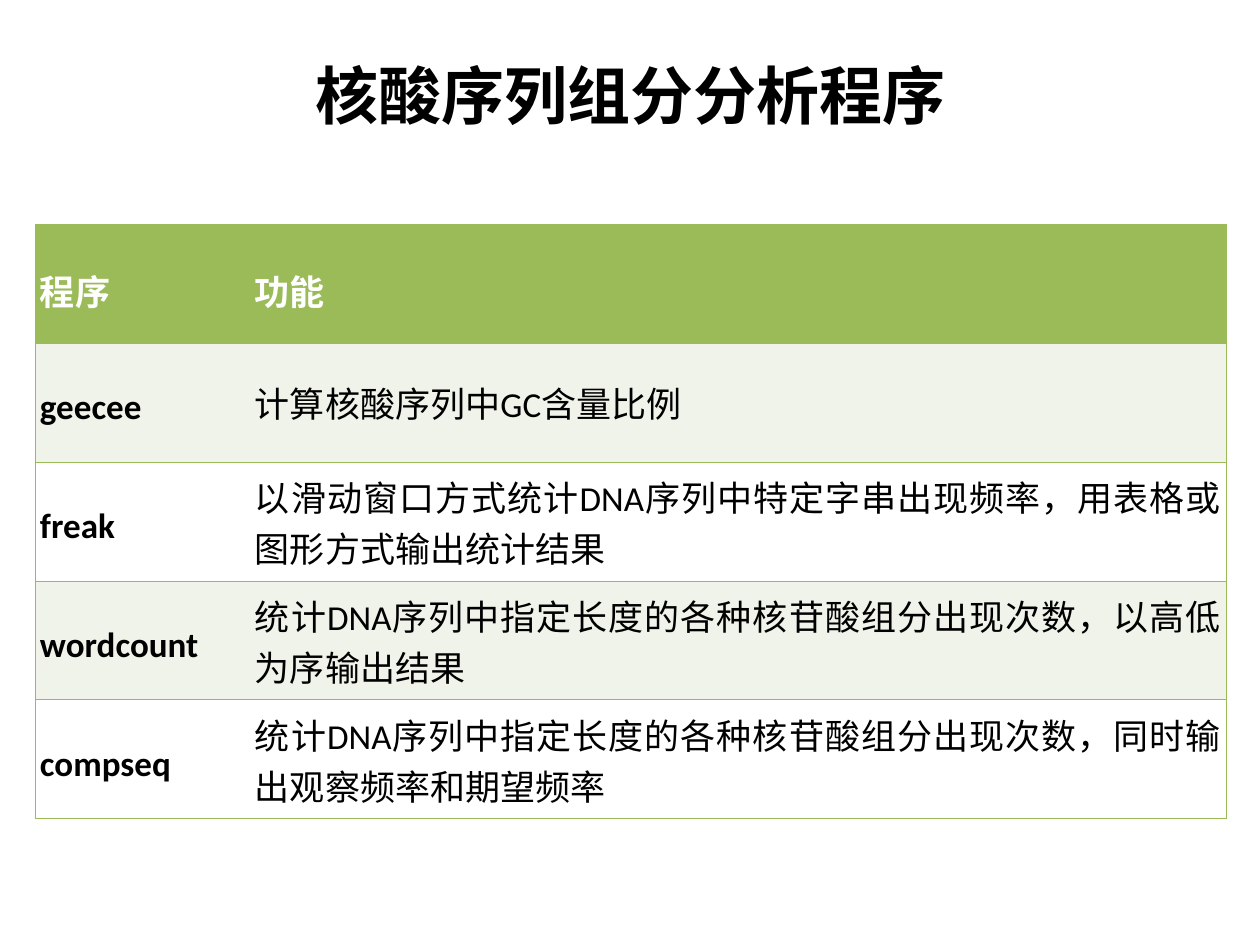
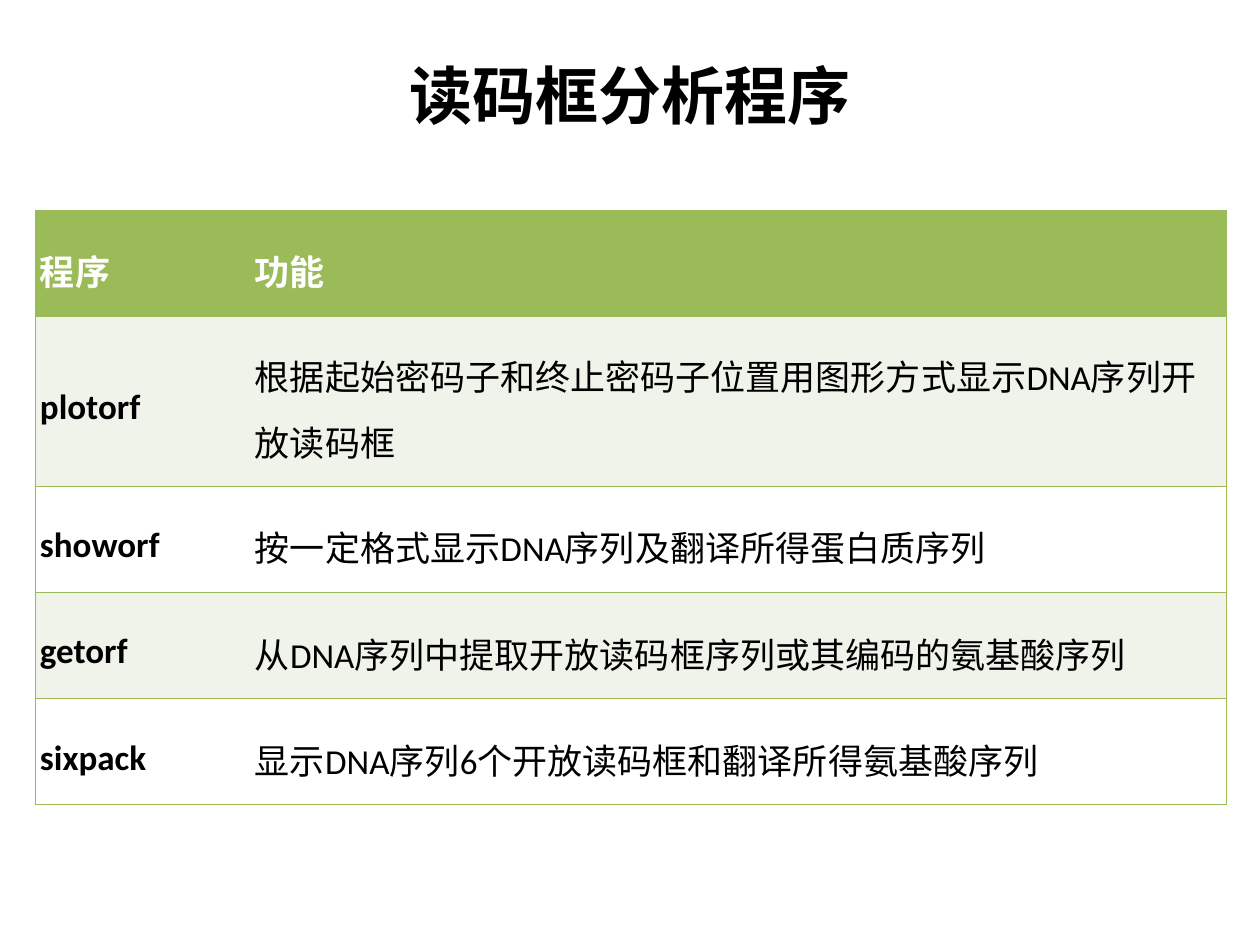
from lxml import etree
from pptx import Presentation
from pptx import util as u
from pptx.dml.color import RGBColor
from pptx.enum import text
from pptx.oxml.ns import qn

PX = 914400 / 126
GREEN = RGBColor(0x9B, 0xBB, 0x59)
PALE = RGBColor(0xEF, 0xF3, 0xEA)
WHITE = RGBColor(0xFF, 0xFF, 0xFF)
BLACK = RGBColor(0, 0, 0)
FONT = "Calibri"
LEFT, WIDTH = 35, 1191
COLUMN_WIDTHS = (215, 976)
HEADINGS = ("程序", "功能")
BORDER_WIDTH = u.Pt(0.45)

COMPOSITION_PROGRAMS = [
    ("geecee", "计算核酸序列中GC含量比例"),
    ("freak", "以滑动窗口方式统计DNA序列中特定字串出现频率，用表格或图形方式输出统计结果"),
    ("wordcount", "统计DNA序列中指定长度的各种核苷酸组分出现次数，以高低为序输出结果"),
    ("compseq", "统计DNA序列中指定长度的各种核苷酸组分出现次数，同时输出观察频率和期望频率"),
]
READING_FRAME_PROGRAMS = [
    ("plotorf", "根据起始密码子和终止密码子位置用图形方式显示DNA序列开放读码框"),
    ("showorf", "按一定格式显示DNA序列及翻译所得蛋白质序列"),
    ("getorf", "从DNA序列中提取开放读码框序列或其编码的氨基酸序列"),
    ("sixpack", "显示DNA序列6个开放读码框和翻译所得氨基酸序列"),
]


def px(length):
    return u.Emu(round(length * PX))


def write_text(frame, content, size=20, bold=False, color=BLACK,
               align=text.PP_ALIGN.LEFT, spacing=1.0):
    frame.word_wrap = True
    paragraph = frame.paragraphs[0]
    paragraph.alignment = align
    paragraph.line_spacing = spacing
    paragraph.space_before = u.Pt(0)
    run = paragraph.add_run()
    run.text = content
    run.font.name = FONT
    run.font.size = u.Pt(size)
    run.font.bold = bold
    run.font.color.rgb = color


def set_borders(cell, outer_side):
    properties = cell._tc.get_or_add_tcPr()
    for index, side in enumerate("LRTB"):
        line = etree.Element(qn(f"a:ln{side}"), w=str(int(BORDER_WIDTH)))
        if side in (outer_side, "T", "B"):
            fill = etree.SubElement(line, qn("a:solidFill"))
            etree.SubElement(fill, qn("a:srgbClr"), val=str(GREEN))
        else:
            etree.SubElement(line, qn("a:noFill"))
        properties.insert(index, line)


def add_title(slide, heading):
    title = slide.shapes.title
    title.left, title.top, title.width, title.height = map(px, (LEFT, 49, WIDTH, 99))
    frame = title.text_frame
    frame.auto_size = text.MSO_AUTO_SIZE.NONE
    frame.vertical_anchor = text.MSO_ANCHOR.MIDDLE
    frame.margin_left = frame.margin_right = px(18)
    frame.margin_top, frame.margin_bottom = px(6), px(14)
    write_text(frame, heading, size=36, bold=True, align=text.PP_ALIGN.CENTER)


def format_cell(cell, fill, outer_side):
    cell.fill.solid()
    cell.fill.fore_color.rgb = fill
    cell.vertical_anchor = text.MSO_ANCHOR.MIDDLE
    cell.margin_left = cell.margin_right = px(5)
    cell.margin_top = cell.margin_bottom = px(6)
    set_borders(cell, outer_side)


def add_program_table(slide, programs, top, row_heights, spacing,
                      function_spacing, function_align):
    rows = [HEADINGS, *programs]
    table = slide.shapes.add_table(
        len(rows), len(HEADINGS), px(LEFT), px(top), px(WIDTH), px(sum(row_heights))
    ).table
    for column, width in zip(table.columns, COLUMN_WIDTHS):
        column.width = px(width)
    for row_index, (entries, height) in enumerate(zip(rows, row_heights)):
        table.rows[row_index].height = px(height)
        is_heading = row_index == 0
        fill = GREEN if is_heading else PALE if row_index % 2 else WHITE
        for column_index, entry in enumerate(entries):
            cell = table.cell(row_index, column_index)
            format_cell(cell, fill, "LR"[column_index])
            is_function = column_index == 1 and not is_heading
            write_text(
                cell.text_frame, entry, bold=not is_function,
                color=WHITE if is_heading else BLACK,
                align=function_align if is_function else text.PP_ALIGN.LEFT,
                spacing=function_spacing if is_function else spacing,
            )


def add_program_slide(deck, heading, programs, **table_format):
    slide = deck.slides.add_slide(deck.slide_layouts[5])
    add_title(slide, heading)
    add_program_table(slide, programs, **table_format)


def main():
    deck = Presentation()
    deck.slide_width, deck.slide_height = px(1260), px(945)
    add_program_slide(
        deck, "核酸序列组分分析程序", COMPOSITION_PROGRAMS,
        top=224, row_heights=[119] * 5, spacing=1.25,
        function_spacing=1.0, function_align=text.PP_ALIGN.JUSTIFY,
    )
    add_program_slide(
        deck, "读码框分析程序", READING_FRAME_PROGRAMS,
        top=210, row_heights=[106, 170, 106, 107, 106], spacing=1.3,
        function_spacing=1.3, function_align=text.PP_ALIGN.LEFT,
    )
    deck.save("out.pptx")


if __name__ == "__main__":
    main()
